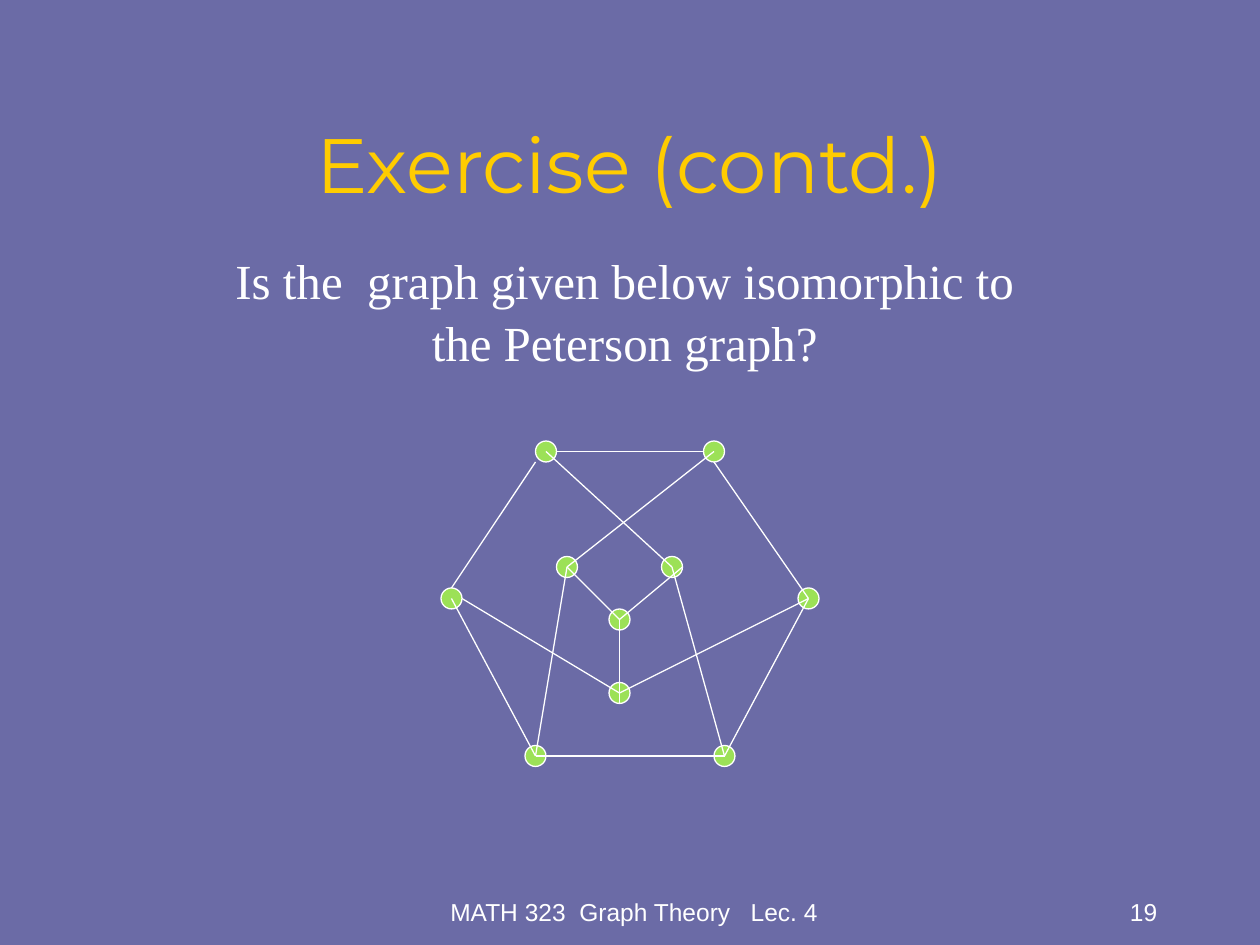
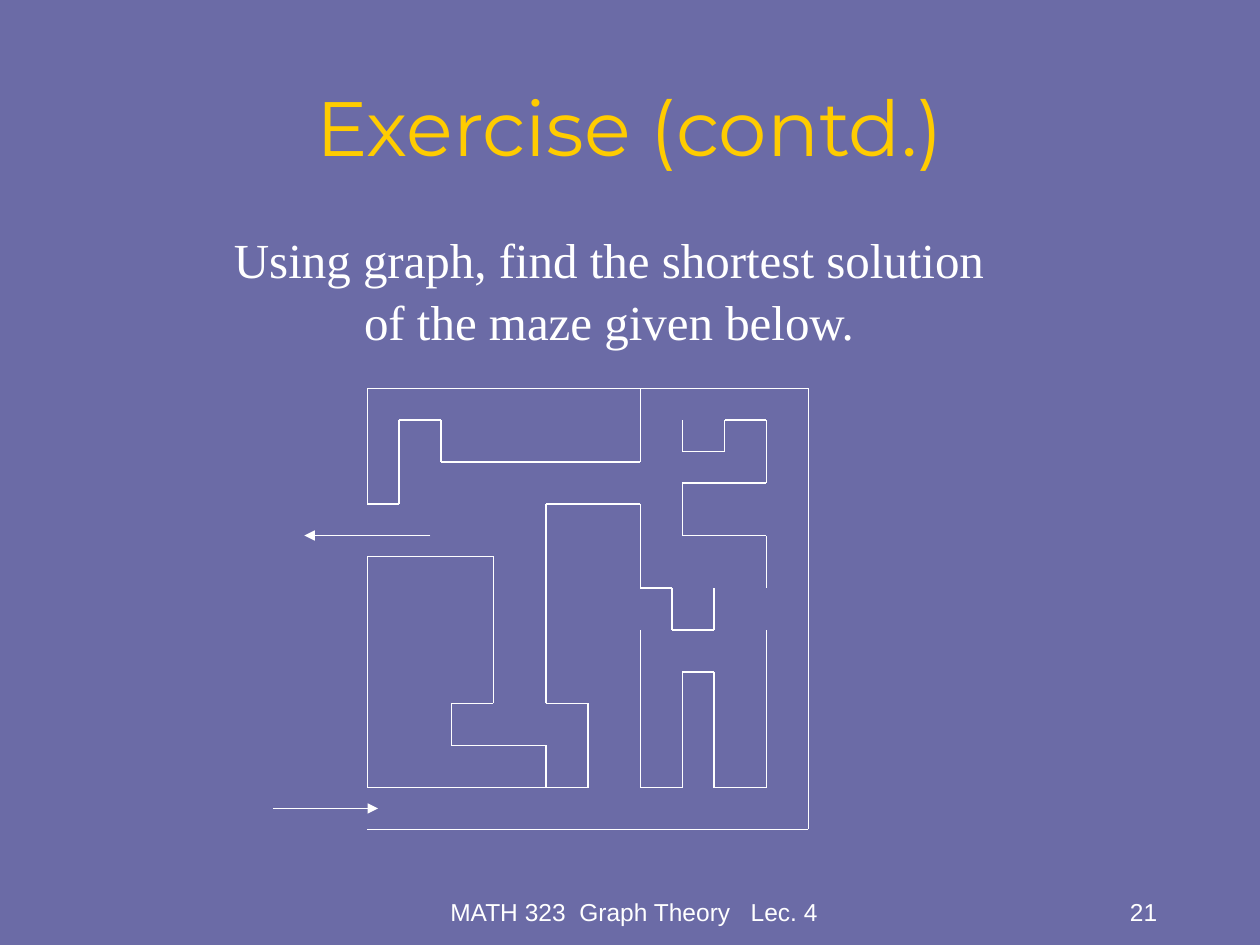
from dataclasses import dataclass
from itertools import pairwise

import pptx
import pptx.util
from pptx.dml.color import RGBColor
from pptx.enum.shapes import MSO_CONNECTOR, MSO_SHAPE
from pptx.enum.text import MSO_ANCHOR, PP_ALIGN
from pptx.oxml.ns import qn
from lxml import etree

Pt = pptx.util.Pt
GRID = 6  # points per drawing unit


@dataclass(frozen=True)
class Theme:
    background: str = "6B6BA6"
    title: str = "FFCC00"
    text: str = "FFFFFF"
    line: str = "FFFFFF"
    vertex: str = "9CE157"
    title_font: tuple = ("Montserrat", 44)
    body_font: tuple = ("Times New Roman", 28)
    footer_font: tuple = ("Arial", 14)
    line_width: float = 0.75


class Deck:
    """Holds the theme and the slide being drawn."""

    def __init__(self, theme):
        self.theme = theme
        self.prs = pptx.Presentation()
        self.prs.slide_width, self.prs.slide_height = Pt(720), Pt(540)
        self.s = None

    def slide(self, title, title_top, number):
        t = self.theme
        self.s = self.prs.slides.add_slide(self.prs.slide_layouts[6])
        fill = self.s.background.fill
        fill.solid()
        fill.fore_color.rgb = RGBColor.from_string(t.background)
        self.text(title, (54, title_top, 612, 60), t.title_font, t.title,
                  anchor=MSO_ANCHOR.MIDDLE)
        self.text("MATH 323  Graph Theory   Lec. 4", (248.4, 497, 228, 36),
                  t.footer_font, t.text, anchor=MSO_ANCHOR.BOTTOM)
        self.text(number, (518.4, 497, 150, 36), t.footer_font, t.text,
                  PP_ALIGN.RIGHT, MSO_ANCHOR.BOTTOM)

    def text(self, text, box, font, color, align=PP_ALIGN.CENTER,
             anchor=MSO_ANCHOR.TOP, spacing=None):
        sp = self.s.shapes.add_textbox(*map(Pt, box))
        tf = sp.text_frame
        tf.word_wrap = True
        tf.vertical_anchor = anchor
        p = tf.paragraphs[0]
        p.text = text
        p.alignment = align
        p.line_spacing = spacing
        p.font.name, size = font
        p.font.size = Pt(size)
        p.font.color.rgb = RGBColor.from_string(color)

    def question(self, text, box):
        self.text(text, box, self.theme.body_font, self.theme.text, spacing=1.05)

    def outline(self, sp):
        sp.line.color.rgb = RGBColor.from_string(self.theme.line)
        sp.line.width = Pt(self.theme.line_width)

    def vertex(self, x, y):
        """Draw a circle two grid units wide, centred on a grid point."""
        sp = self.s.shapes.add_shape(
            MSO_SHAPE.OVAL, Pt((x - 1) * GRID), Pt((y - 1) * GRID),
            Pt(2 * GRID), Pt(2 * GRID))
        sp.shadow.inherit = False
        sp.fill.solid()
        sp.fill.fore_color.rgb = RGBColor.from_string(self.theme.vertex)
        self.outline(sp)

    def line(self, start, end, arrow=False):
        """Join two grid points, with an arrowhead at the end if asked."""
        sp = self.s.shapes.add_connector(
            MSO_CONNECTOR.STRAIGHT, *(Pt(v * GRID) for v in (*start, *end)))
        self.outline(sp)
        if arrow:
            etree.SubElement(sp.line._get_or_add_ln(), qn("a:tailEnd"),
                             type="triangle")
        etree.SubElement(sp._element.spPr, qn("a:effectLst"))

    def polyline(self, points):
        for start, end in pairwise(points):
            self.line(start, end)


VERTICES = {
    "top left": (52, 43), "top right": (68, 43),
    "left": (43, 57), "right": (77, 57),
    "bottom left": (51, 72), "bottom right": (69, 72),
    "inner left": (54, 54), "inner right": (64, 54),
    "centre": (59, 59), "low centre": (59, 66),
}
SIDES = {"": (0, 0), "N": (0, -1), "S": (0, 1), "W": (-1, 0), "E": (1, 0),
         "SW": (-1, 1)}
# Each end is a vertex, with the side of it that the edge touches after a slash.
EDGES = [
    ("centre", "low centre/S"),
    ("top left/SW", "left/N"),
    ("top left/E", "top right/W"),
    ("top right/S", "right"),
    ("right", "bottom right"),
    ("bottom right", "bottom left"),
    ("bottom left", "left"),
    ("top left", "inner right"),
    ("top right", "inner left"),
    ("inner left", "centre"),
    ("centre", "inner right/E"),
    ("left/E", "low centre"),
    ("low centre", "right"),
    ("inner left", "bottom left"),
    ("inner right", "bottom right"),
]

MAZE_WALLS = [
    [(35, 79), (77, 79), (77, 37), (35, 37), (35, 48), (38, 48), (38, 40),
     (42, 40), (42, 44), (61, 44), (61, 37)],
    [(35, 75), (56, 75), (56, 67), (52, 67), (52, 48), (61, 48), (61, 56),
     (64, 56), (64, 60), (68, 60), (68, 56)],
    [(35, 75), (35, 53), (47, 53), (47, 67), (43, 67), (43, 71), (52, 71),
     (52, 75)],
    [(61, 60), (61, 75), (65, 75), (65, 64), (68, 64), (68, 75), (73, 75),
     (73, 60)],
    [(73, 56), (73, 51), (65, 51), (65, 46), (73, 46), (73, 40), (69, 40),
     (69, 43), (65, 43), (65, 40)],
]
MAZE_ENTRANCE = (26, 77), (36, 77)
MAZE_EXIT = (41, 51), (29, 51)


def edge_end(name):
    vertex, _, side = name.partition("/")
    (x, y), (dx, dy) = VERTICES[vertex], SIDES[side]
    return x + dx, y + dy


def isomorphism_slide(deck):
    deck.slide("Exercise (contd.)", 63, "19")
    deck.question("Is the  graph given below isomorphic to the Peterson graph?",
                  (108, 138, 498, 75))
    for x, y in VERTICES.values():
        deck.vertex(x, y)
    for start, end in EDGES:
        deck.line(edge_end(start), edge_end(end))


def maze_slide(deck):
    deck.slide("Exercise (contd.)", 42, "21")
    deck.question("Using graph, find the shortest solution of the maze given below.",
                  (120, 126, 456, 75))
    for wall in MAZE_WALLS:
        deck.polyline(wall)
    for start, end in (MAZE_ENTRANCE, MAZE_EXIT):
        deck.line(start, end, arrow=True)


def main():
    deck = Deck(Theme())
    isomorphism_slide(deck)
    maze_slide(deck)
    deck.prs.save("out.pptx")


if __name__ == "__main__":
    main()
